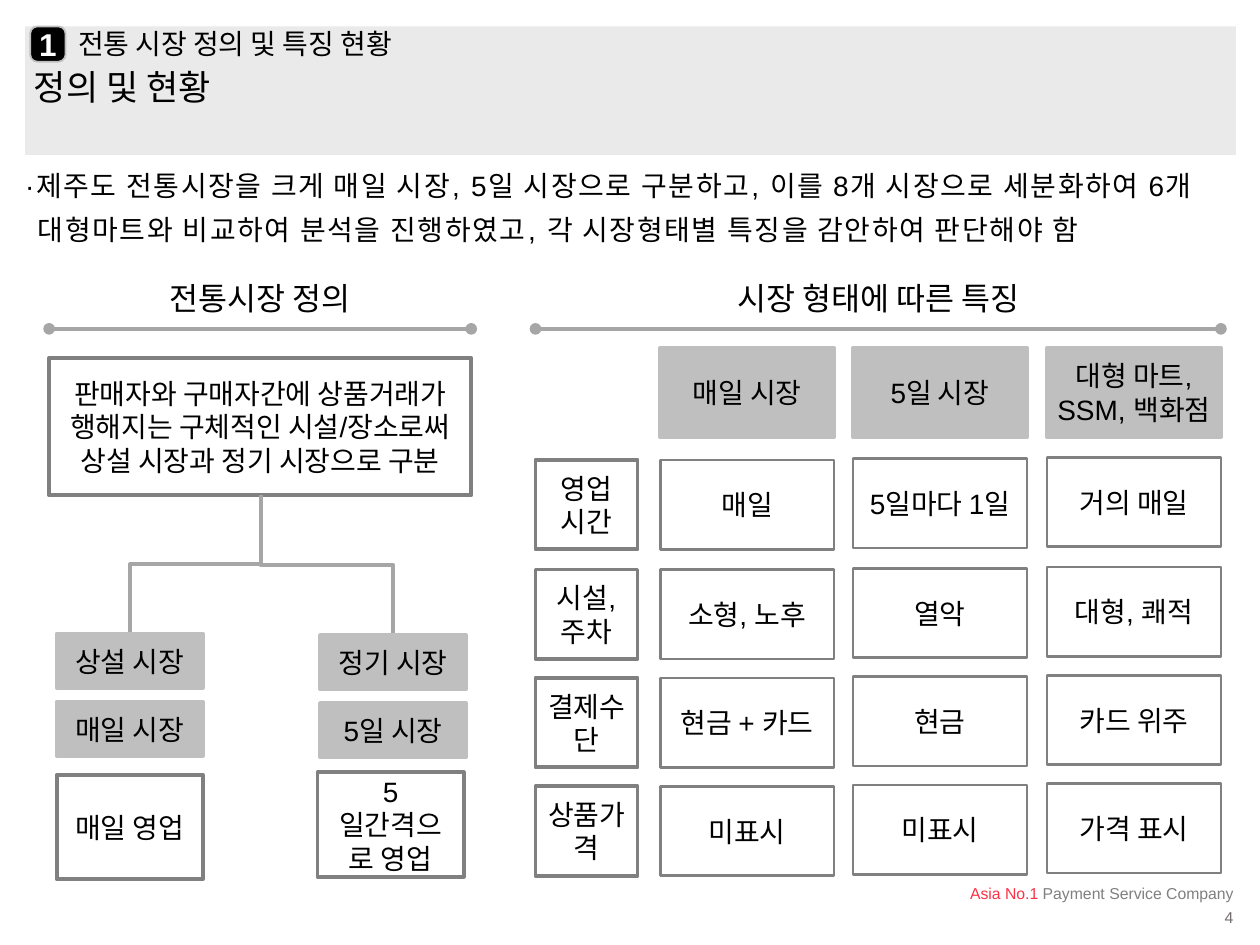
from dataclasses import dataclass

from lxml import etree
from pptx import Presentation
from pptx import util as u
from pptx.dml.color import RGBColor
from pptx.enum import shapes, text
from pptx.oxml.ns import qn

PX = 9144


@dataclass(frozen=True)
class Theme:
    font: str = "Arial"
    ink: str = "000000"
    paper: str = "FFFFFF"
    banner: str = "EAEAEA"
    soft: str = "BFBFBF"
    rule: str = "A6A6A6"
    edge: str = "808080"
    accent: str = "FA3246"
    page: str = "716D6D"
    tiny: int = 9
    body: int = 16
    heading: int = 18
    title: int = 20
    thin: float = 1.5
    thick: float = 2.25


@dataclass(frozen=True)
class Area:
    left: int
    top: int
    width: int
    height: int

    def emu(self) -> list[int]:
        return [v * PX for v in (self.left, self.top, self.width, self.height)]


@dataclass(frozen=True)
class Card:
    area: Area
    words: str = ""
    fill: str | None = None
    line: str | None = None
    weight: float = 2.25
    margins: tuple[int, int, int, int] = (10, 5, 10, 5)
    geometry: int = shapes.MSO_SHAPE.RECTANGLE
    size: int = 16
    color: str = "000000"
    bold: bool = False


@dataclass(frozen=True)
class Label:
    area: Area
    words: str
    size: int
    color: str = "000000"
    align: text.PP_ALIGN = text.PP_ALIGN.LEFT
    anchor: text.MSO_ANCHOR = text.MSO_ANCHOR.TOP
    spacing: float = 0.9
    margins: tuple[int, int, int, int] = (0, 0, 0, 0)
    wrap: bool = True


THEME = Theme()


def set_font(run, size: int, color: str, bold: bool = False) -> None:
    run.font.name = THEME.font
    run.font.size = u.Pt(size)
    run.font.bold = bold
    run.font.color.rgb = RGBColor.from_string(color)


def set_margins(frame, margins: tuple[int, int, int, int]) -> None:
    frame.margin_left, frame.margin_top, frame.margin_right, frame.margin_bottom = (
        m * PX for m in margins
    )


def draw_card(slide, card: Card):
    box = slide.shapes.add_shape(card.geometry, *card.area.emu())
    box.shadow.inherit = False
    if card.fill:
        box.fill.solid()
        box.fill.fore_color.rgb = RGBColor.from_string(card.fill)
    else:
        box.fill.background()
    if card.line:
        box.line.color.rgb = RGBColor.from_string(card.line)
        box.line.width = u.Pt(card.weight)
    else:
        box.line.fill.background()
    frame = box.text_frame
    frame.word_wrap = True
    frame.vertical_anchor = text.MSO_ANCHOR.MIDDLE
    set_margins(frame, card.margins)
    frame.text = card.words
    for paragraph in frame.paragraphs:
        paragraph.alignment = text.PP_ALIGN.CENTER
        for run in paragraph.runs:
            set_font(run, card.size, card.color, card.bold)
    return box


def draw_label(slide, label: Label):
    box = slide.shapes.add_textbox(*label.area.emu())
    frame = box.text_frame
    frame.word_wrap = label.wrap
    frame.vertical_anchor = label.anchor
    set_margins(frame, label.margins)
    frame.text = label.words
    paragraph = frame.paragraphs[0]
    paragraph.alignment = label.align
    paragraph.line_spacing = label.spacing
    set_font(paragraph.runs[0], label.size, label.color)
    return paragraph


def style_connector(connector) -> None:
    connector.line.color.rgb = RGBColor.from_string(THEME.rule)
    connector.line.width = u.Pt(THEME.thick)
    etree.SubElement(connector._element.spPr, qn("a:effectLst"))


def draw_heading(slide, left: int, width: int, words: str) -> None:
    rule = slide.shapes.add_connector(
        shapes.MSO_CONNECTOR.STRAIGHT, left * PX, 261 * PX, (left + width) * PX, 261 * PX
    )
    style_connector(rule)
    for end in ("a:headEnd", "a:tailEnd"):
        etree.SubElement(rule.line._get_or_add_ln(), qn(end), type="oval")
    draw_label(slide, Label(Area(left, 225, width, 28), words, THEME.heading,
                            align=text.PP_ALIGN.CENTER))


def draw_branch(slide, start: tuple[int, int], end: tuple[int, int]) -> None:
    run, drop = end[0] - start[0], end[1] - start[1]
    left = (start[0] + end[0] - drop) * PX // 2
    top = (start[1] + end[1] - abs(run)) * PX // 2
    ends = (left, left + drop * PX)
    if run > 0:
        ends = ends[::-1]
    branch = slide.shapes.add_connector(
        shapes.MSO_CONNECTOR.ELBOW, ends[0], top, ends[1], top + abs(run) * PX
    )
    turn = 270 if run > 0 else 90
    branch._element.spPr.find(qn("a:xfrm")).set("rot", str(turn * 60000))
    style_connector(branch)


def draw_header(slide) -> None:
    draw_card(slide, Card(Area(20, 21, 961, 102), fill=THEME.banner))
    draw_label(slide, Label(Area(27, 56, 890, 31), "정의 및 현황", THEME.title))
    draw_label(slide, Label(Area(62, 21, 853, 30), "전통 시장 정의 및 특징 현황", THEME.body,
                            anchor=text.MSO_ANCHOR.MIDDLE))
    badge = draw_card(slide, Card(
        Area(24, 21, 28, 28), "1", THEME.ink, THEME.soft, 1, (0, 8, 0, 8),
        shapes.MSO_SHAPE.ROUNDED_RECTANGLE, THEME.heading, THEME.paper, True))
    badge.adjustments[0] = 0.2
    summary = draw_label(slide, Label(
        Area(12, 123, 976, 79),
        "·제주도 전통시장을 크게 매일 시장, 5일 시장으로 구분하고, 이를 8개 시장으로 세분화하여 "
        "6개 대형마트와 비교하여 분석을 진행하였고, 각 시장형태별 특징을 감안하여 판단해야 함",
        THEME.body, anchor=text.MSO_ANCHOR.MIDDLE, spacing=1.3, margins=(8, 8, 8, 12)))
    indent = summary._p.get_or_add_pPr()
    indent.set("marL", str(10 * PX))
    indent.set("indent", str(-10 * PX))
    summary.runs[0].font._element.set("spc", "100")


def draw_definition(slide) -> None:
    draw_heading(slide, 39, 335, "전통시장 정의")
    draw_card(slide, Card(
        Area(39, 284, 335, 109),
        "판매자와 구매자간에 상품거래가 행해지는 구체적인 시설/장소로써 상설 시장과 정기 시장으로 구분",
        line=THEME.edge))
    for left, top, kind, market, opening, opening_left, opening_top in (
        (45, 503, "상설 시장", "매일 시장", "매일 영업", 45, 615),
        (254, 504, "정기 시장", "5일 시장", "5일간격으로 영업", 252, 613),
    ):
        draw_branch(slide, (207, 393), (left + 58, top))
        for offset, words in ((0, kind), (54, market)):
            draw_card(slide, Card(Area(left, top + offset, 116, 43), words,
                                  THEME.soft, THEME.soft))
        draw_card(slide, Card(Area(opening_left, opening_top, 116, 83), opening,
                              line=THEME.edge))


def draw_features(slide) -> None:
    draw_heading(slide, 425, 544, "시장 형태에 따른 특징")
    markets = ((524, "매일 시장"), (677, "5일 시장"), (831, "대형 마트,\nSSM, 백화점"))
    features = (
        (365, "영업\n시간", ("매일", "5일마다 1일", "거의 매일")),
        (452, "시설,주차", ("소형, 노후", "열악", "대형, 쾌적")),
        (538, "결제수단", ("현금 + 카드", "현금", "카드 위주")),
        (624, "상품가격", ("미표시", "미표시", "가격 표시")),
    )
    for left, market in markets:
        margins = (4, 5, 4, 5) if "\n" in market else (10, 5, 10, 5)
        draw_card(slide, Card(Area(left, 276, 138, 71), market, THEME.soft, THEME.soft,
                              margins=margins))
    for top, feature, values in features:
        draw_card(slide, Card(Area(425, top, 81, 71), feature, line=THEME.edge))
        for column, ((left, _), value) in enumerate(zip(markets, values)):
            draw_card(slide, Card(Area(left, top - column, 138, 71), value,
                                  line=THEME.edge, weight=THEME.thin))


def draw_footer(slide) -> None:
    slogan = draw_label(slide, Label(
        Area(707, 698, 283, 22), "Asia No.1 ", THEME.tiny, THEME.accent,
        text.PP_ALIGN.RIGHT, text.MSO_ANCHOR.MIDDLE, 1.0, (11, 6, 11, 6)))
    company = slogan.add_run()
    company.text = "Payment Service Company"
    set_font(company, THEME.tiny, THEME.edge)
    draw_label(slide, Label(Area(972, 722, 7, 14), "4", THEME.tiny, THEME.page,
                            text.PP_ALIGN.RIGHT, wrap=False))


def main() -> None:
    deck = Presentation()
    deck.slide_width, deck.slide_height = 1000 * PX, 750 * PX
    slide = deck.slides.add_slide(deck.slide_layouts[6])
    for draw in (draw_header, draw_definition, draw_features, draw_footer):
        draw(slide)
    deck.save("out.pptx")


if __name__ == "__main__":
    main()
